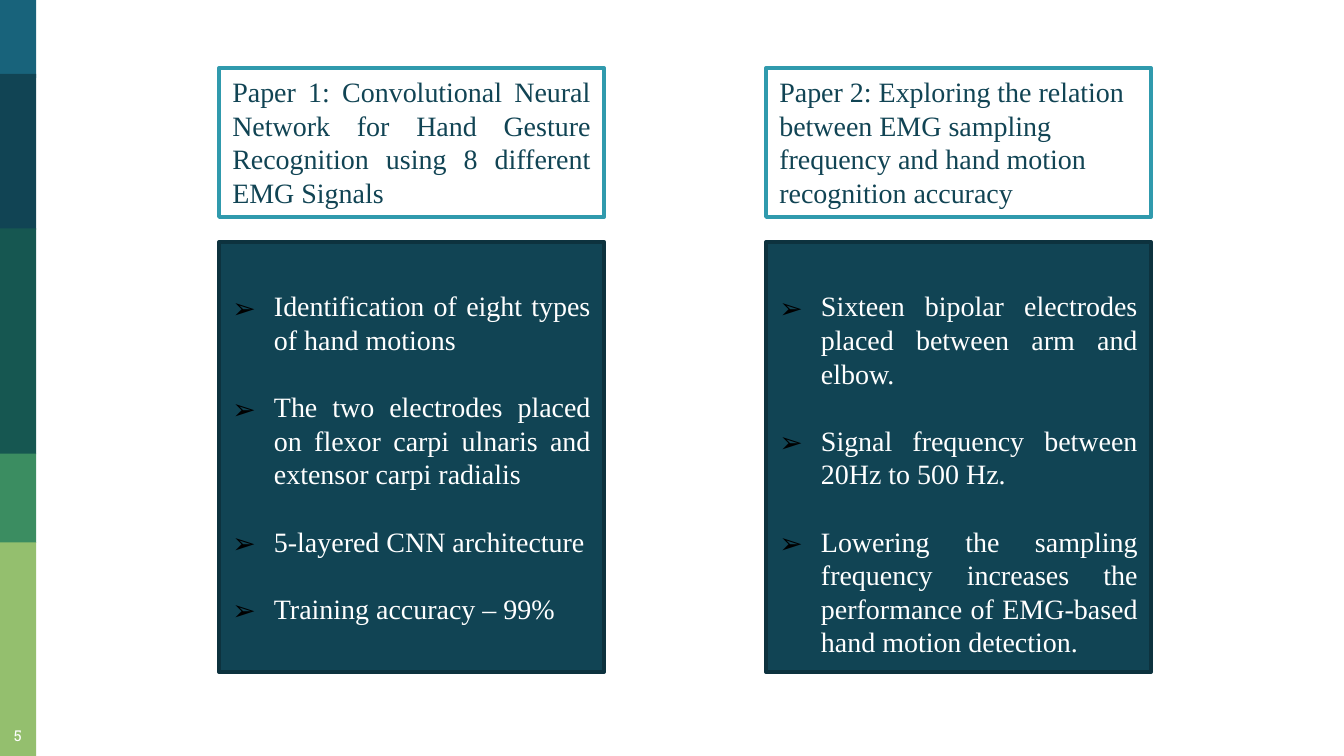
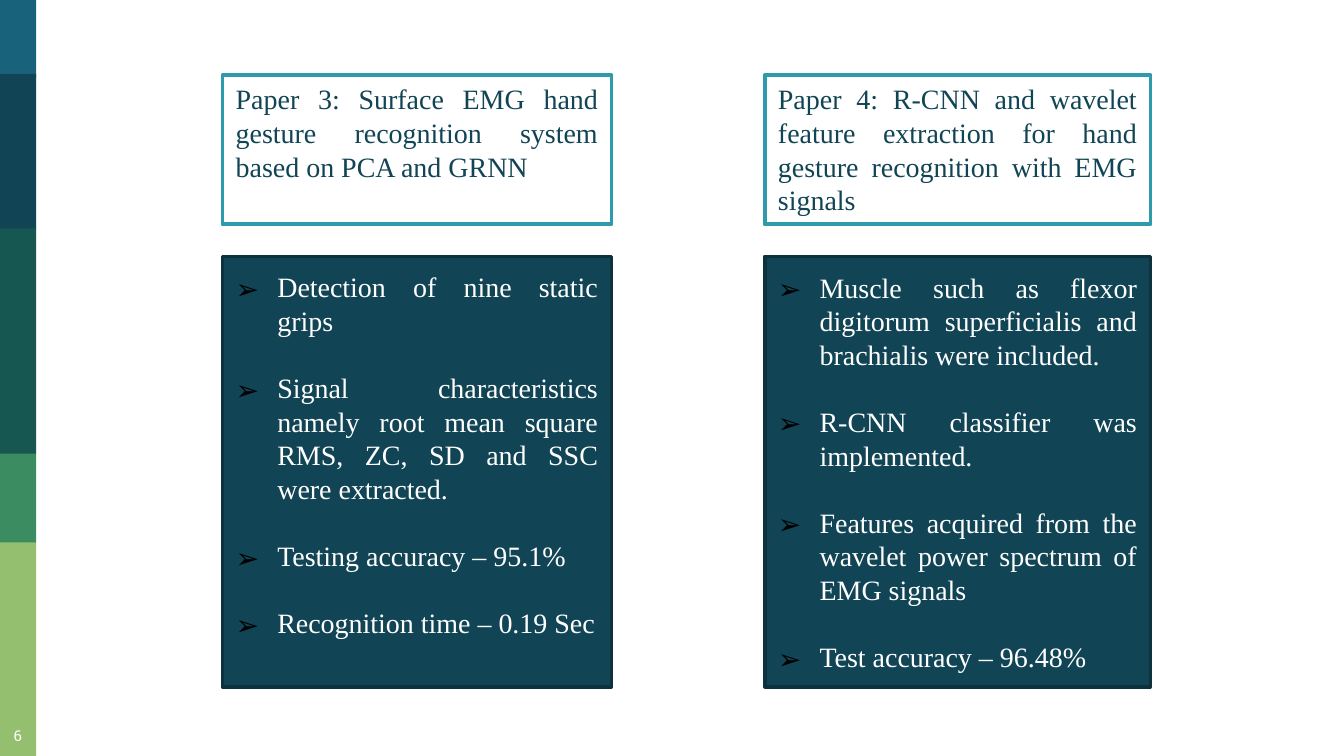
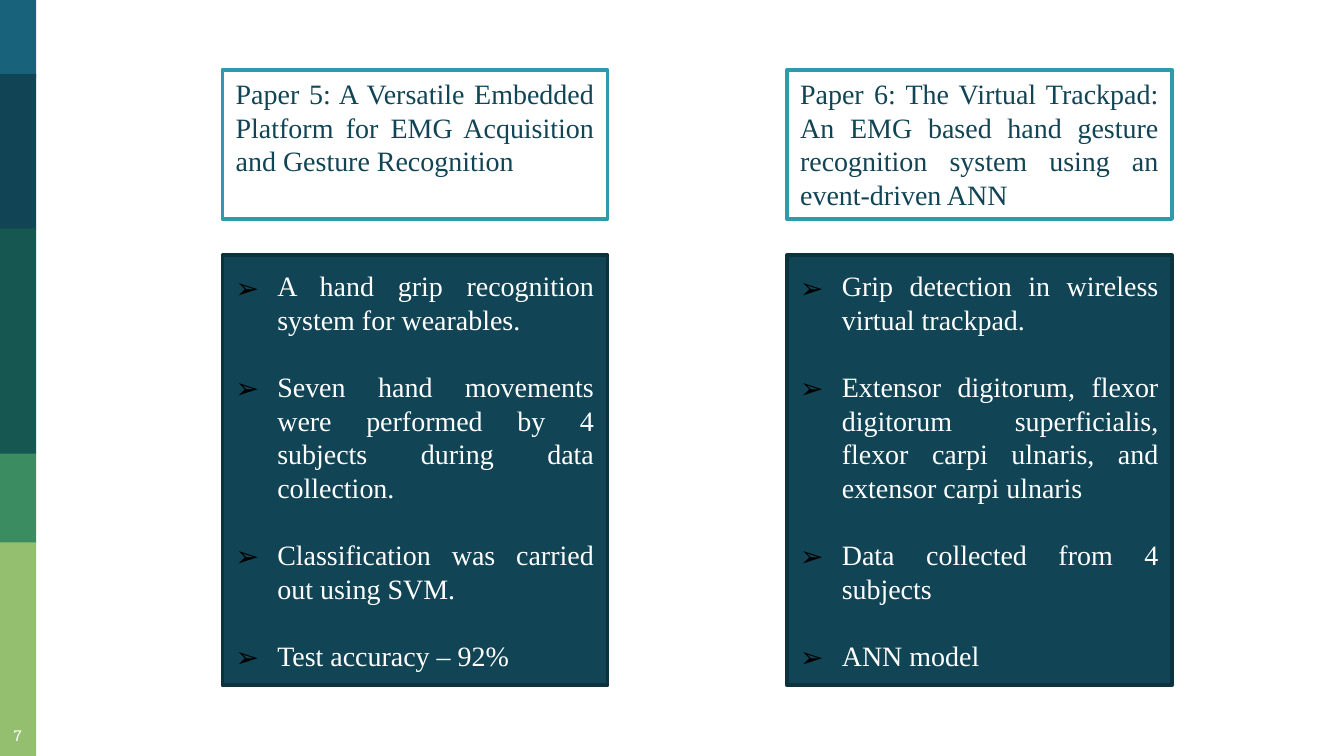
from lxml.etree import SubElement
from pptx import Presentation
from pptx.dml.color import RGBColor
from pptx.enum.shapes import MSO_SHAPE
from pptx.enum.text import MSO_ANCHOR, PP_ALIGN
from pptx.oxml.ns import qn
from pptx.util import Emu, Pt

PX = 4572
COLORS = {
    "blue": "18637B",
    "navy": "114454",
    "teal": "165751",
    "green": "3B8D61",
    "lime": "94BF6E",
    "white": "FFFFFF",
    "black": "000000",
    "heading_line": "309AAD",
    "panel_line": "0D323E",
}
BANDS = [
    ("blue", 0, 116),
    ("navy", 110, 232),
    ("teal", 340, 336),
    ("green", 675, 133),
    ("lime", 807, 318),
]
BODY_FONT = "Times New Roman"
NUMBER_FONT = "Roboto Slab"
BULLET_FONT = "Noto Sans Symbols"
HEADING_H, PANEL_H = 222, 640
BLANK_LINE = 50
INDENT = 62

SLIDES = [
    dict(number=5, heading_top=101, panel_top=360, papers=[
        dict(left=326, width=573,
             heading="Paper 1: Convolutional Neural Network for Hand Gesture Recognition using 8 different EMG Signals",
             points=["Identification of eight types of hand motions",
                     "The two electrodes placed on flexor carpi ulnaris and extensor carpi radialis",
                     "5-layered CNN architecture",
                     "Training accuracy – 99%"]),
        dict(left=1140, width=573, heading_align=PP_ALIGN.LEFT, pad_top=BLANK_LINE,
             heading="Paper 2: Exploring the relation between EMG sampling frequency and hand motion recognition accuracy",
             points=["Sixteen bipolar electrodes placed between arm and elbow.",
                     "Signal frequency between 20Hz to 500 Hz.",
                     "Lowering the sampling frequency increases the performance of EMG-based hand motion detection."]),
    ]),
    dict(number=6, heading_top=112, panel_top=382, papers=[
        dict(left=331, width=579, pad_bottom=BLANK_LINE,
             heading="Paper 3: Surface EMG hand gesture recognition system based on PCA and GRNN",
             points=["Detection of nine static grips",
                     "Signal characteristics namely root mean square RMS, ZC, SD and SSC were extracted.",
                     "Testing accuracy – 95.1%",
                     "Recognition time – 0.19 Sec"]),
        dict(left=1138, width=574,
             heading="Paper 4: R-CNN and wavelet feature extraction for hand gesture recognition with EMG signals",
             points=["Muscle such as flexor digitorum superficialis and brachialis were included.",
                     "R-CNN classifier was implemented.",
                     "Features acquired from the wavelet power spectrum of EMG signals",
                     "Test accuracy – 96.48%"]),
    ]),
    dict(number=7, heading_top=104, panel_top=380, papers=[
        dict(left=331, width=573,
             heading="Paper 5: A Versatile Embedded Platform for EMG Acquisition and Gesture Recognition",
             points=["A hand grip recognition system for wearables.",
                     "Seven hand movements were performed by 4 subjects during data collection.",
                     "Classification was carried out using SVM.",
                     "Test accuracy – 92%"]),
        dict(left=1171, width=573,
             heading="Paper 6: The Virtual Trackpad: An EMG based hand gesture recognition system using an event-driven ANN",
             points=["Grip detection in wireless virtual trackpad.",
                     "Extensor digitorum, flexor digitorum superficialis, flexor carpi ulnaris, and extensor carpi ulnaris",
                     "Data collected from 4 subjects",
                     "ANN model"]),
    ]),
]


def px(n):
    return Emu(n * PX)


def rgb(name):
    return RGBColor.from_string(COLORS[name])


def add_rect(s, left, top, width, height, fill, line=None):
    sp = s.shapes.add_shape(MSO_SHAPE.RECTANGLE, px(left), px(top), px(width), px(height))
    sp.shadow.inherit = False
    sp.fill.solid()
    sp.fill.fore_color.rgb = rgb(fill)
    if line:
        sp.line.color.rgb = rgb(line)
        sp.line.width = Pt(2)
    else:
        sp.line.fill.background()
    return sp


def add_bullet(p):
    pPr = p._p.get_or_add_pPr()
    pPr.set("marL", str(px(INDENT)))
    pPr.set("indent", str(px(-INDENT)))
    color = SubElement(pPr, qn("a:buClr"))
    SubElement(color, qn("a:srgbClr"), val=COLORS["black"])
    SubElement(pPr, qn("a:buFont"), typeface=BULLET_FONT)
    SubElement(pPr, qn("a:buChar"), char="➢")


def write(sp, *texts, size=15, font=BODY_FONT, color="white", align=PP_ALIGN.JUSTIFY,
          anchor=MSO_ANCHOR.TOP, inset=(20, 10, 20, 10), spacing=18, gap=0, bullet=False):
    tf = sp.text_frame
    tf.word_wrap = True
    tf.vertical_anchor = anchor
    tf.margin_left, tf.margin_top, tf.margin_right, tf.margin_bottom = map(px, inset)
    for i, text in enumerate(texts):
        p = tf.add_paragraph() if i else tf.paragraphs[0]
        p.alignment = align
        if spacing:
            p.line_spacing = Pt(spacing)
        if i and gap:
            p.space_before = Pt(gap)
        if bullet:
            add_bullet(p)
        r = p.add_run()
        r.text = text
        r.font.size = Pt(size)
        r.font.name = font
        r.font.color.rgb = rgb(color)


def add_side_bar(s, number):
    for color, top, height in BANDS:
        add_rect(s, 0, top, 54, height, color)
    sp = s.shapes.add_textbox(px(-12), px(1054), px(77), px(70))
    write(sp, str(number), size=8, font=NUMBER_FONT, align=PP_ALIGN.CENTER,
          inset=(20, 27, 20, 10), spacing=None)


def add_paper(s, heading_top, panel_top, left, width, heading, points,
              heading_align=PP_ALIGN.JUSTIFY, pad_top=0, pad_bottom=0):
    panel = add_rect(s, left, panel_top, width, PANEL_H, "navy", "panel_line")
    write(panel, *points, anchor=MSO_ANCHOR.MIDDLE, gap=18, bullet=True,
          inset=(20, 10 + pad_top, 20, 10 + pad_bottom))
    box = add_rect(s, left, heading_top, width, HEADING_H, "white", "heading_line")
    write(box, heading, color="navy", align=heading_align)


def main():
    prs = Presentation()
    prs.slide_width, prs.slide_height = px(2000), px(1125)
    for content in SLIDES:
        s = prs.slides.add_slide(prs.slide_layouts[6])
        add_side_bar(s, content["number"])
        for paper in content["papers"]:
            add_paper(s, content["heading_top"], content["panel_top"], **paper)
    prs.save("out.pptx")


if __name__ == "__main__":
    main()
